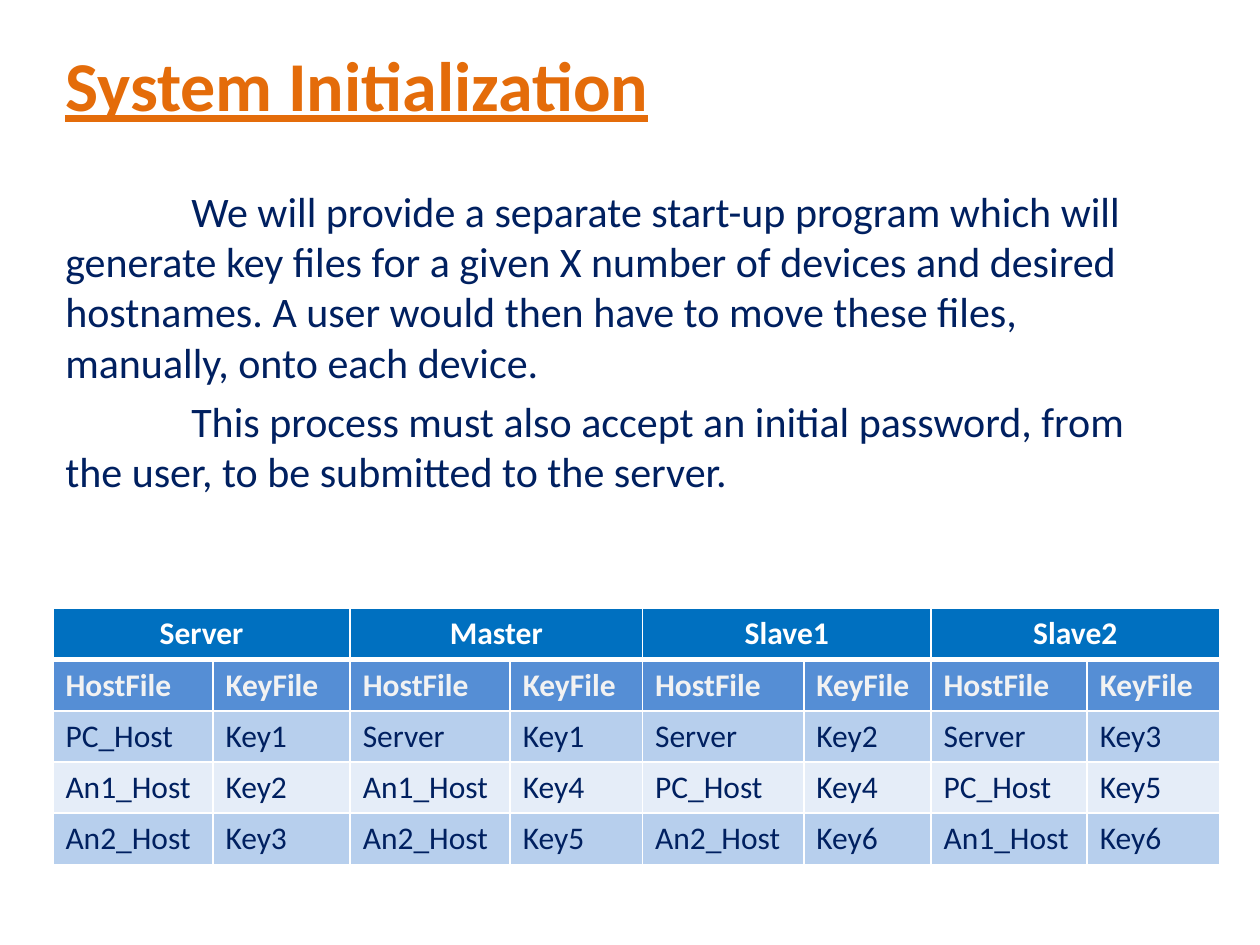
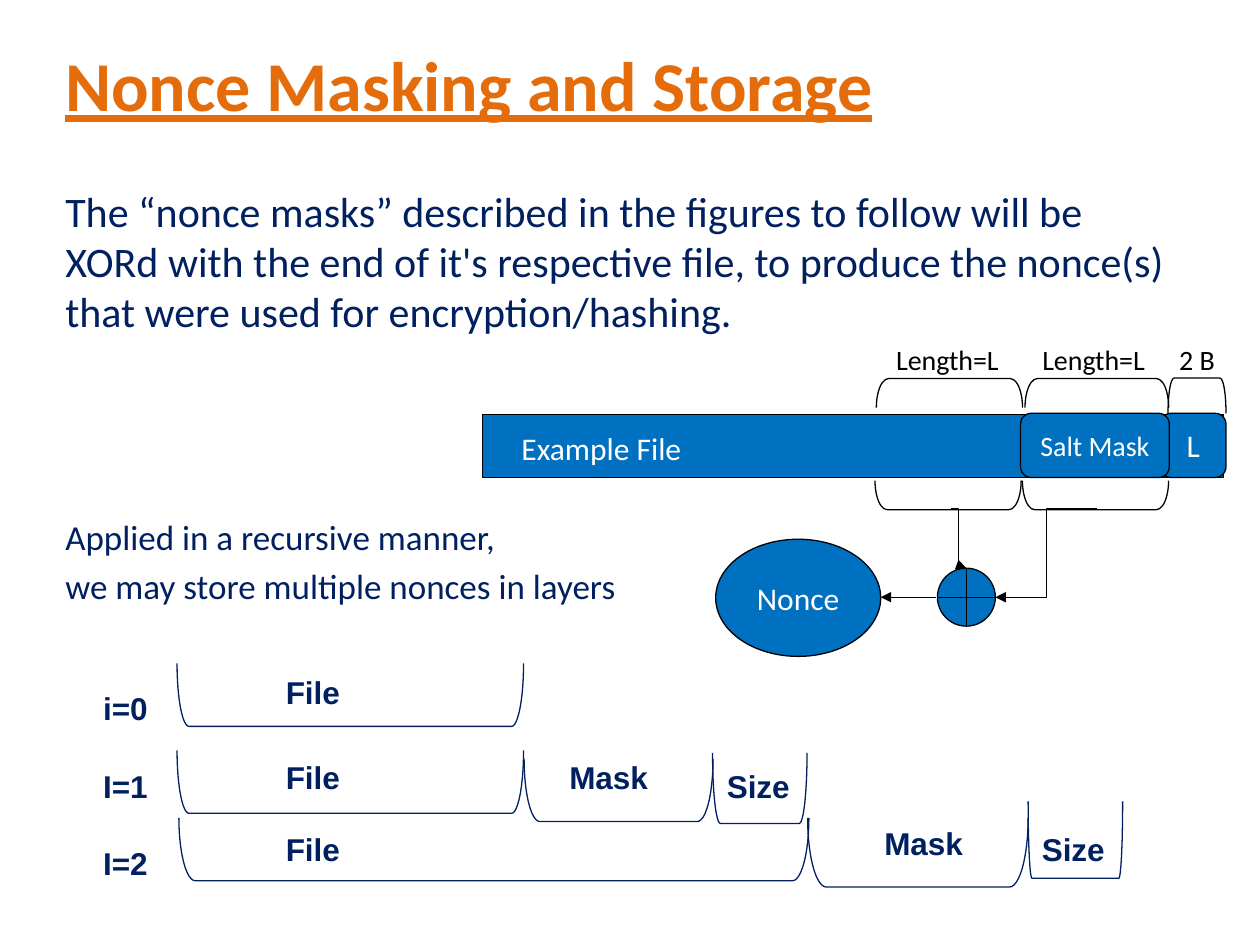
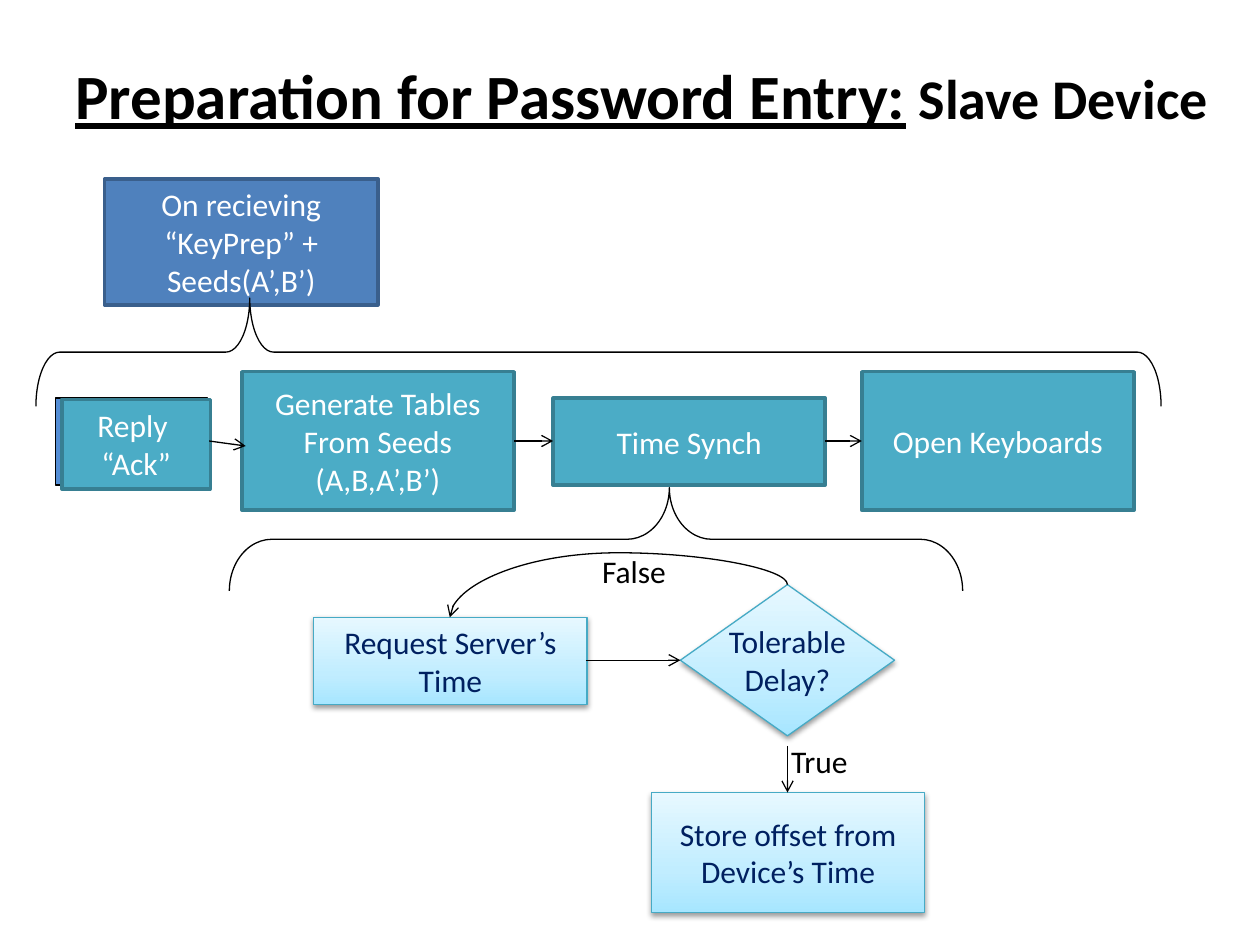
from dataclasses import dataclass
from typing import NamedTuple

from lxml import etree
from pptx import Presentation
from pptx import util as u
from pptx.dml.color import RGBColor
from pptx.enum import shapes, text
from pptx.oxml.ns import qn

# Slide grid: 100 columns by 75 rows
WIDTH, HEIGHT = u.Inches(10), u.Inches(7.5)
COLUMN, ROW = WIDTH / 100, HEIGHT / 75

# Palette
ORANGE, NAVY, BLUE, SKY = "E46C0A", "002060", "0070C0", "558ED5"
WHITE, BLACK, PALE, ICE = "FFFFFF", "000000", "F2F2F2", "C6D9F1"
STEEL, STEEL_EDGE = "4F81BD", "3A5F8C"
TEAL, TEAL_EDGE, GLOSS_EDGE = "4BACC6", "377F92", "46AAC5"
GLOSS = {0: "A7E6FF", 35: "C1EDFF", 100: "E7F8FF"}

SHAPE = shapes.MSO_SHAPE
LINK = shapes.MSO_CONNECTOR
LEFT, CENTER = text.PP_ALIGN.LEFT, text.PP_ALIGN.CENTER
TOP, MIDDLE = text.MSO_ANCHOR.TOP, text.MSO_ANCHOR.MIDDLE


class Box(NamedTuple):
    left: float
    top: float
    width: float
    height: float


class Point(NamedTuple):
    column: float
    row: float


@dataclass(frozen=True)
class TextStyle:
    size: float
    color: str
    bold: bool = False
    underline: bool = False
    name: str = "Calibri"


@dataclass(frozen=True)
class Look:
    fill: str | dict | None
    edge: str
    weight: float = 0.75


@dataclass(frozen=True)
class Node:
    box: Box
    look: Look
    lines: tuple = ()
    style: TextStyle | None = None
    outline: SHAPE = SHAPE.RECTANGLE
    wrap: bool = True


@dataclass(frozen=True)
class Bracket:
    """A left bracket or brace turned to lie flat, given by the area it covers."""
    box: Box
    bends: tuple
    turn: int = 270
    color: str = BLACK
    outline: SHAPE = SHAPE.LEFT_BRACKET


@dataclass(frozen=True)
class Segment:
    name: str
    label: Point
    box: Box
    bend: float


HEADING = TextStyle(40, ORANGE, True, True)
BODY, NOTE = TextStyle(24, NAVY), TextStyle(20, NAVY)
ON_DARK, ON_LIGHT = TextStyle(18, WHITE), TextStyle(18, NAVY)
PLAIN, MEASURE = TextStyle(18, BLACK), TextStyle(16, BLACK)
LAYER = TextStyle(18, NAVY, True, name="Arial")
FILE_LOOK = Look(BLUE, BLACK)
TEAL_LOOK = Look(TEAL, TEAL_EDGE, 2)
GLOSS_LOOK = Look(GLOSS, GLOSS_EDGE)


# Shared helpers
def rgb(color: str) -> RGBColor:
    return RGBColor.from_string(color)


def place(box: Box) -> tuple:
    return tuple(round(n * unit) for n, unit in zip(box, (COLUMN, ROW) * 2))


def set_font(font, style: TextStyle) -> None:
    formats = {"name": style.name, "size": u.Pt(style.size),
               "bold": style.bold, "underline": style.underline}
    for key, value in formats.items():
        setattr(font, key, value)
    font.color.rgb = rgb(style.color)


def write(frame, lines, style: TextStyle, align=LEFT, gap=0.0, indent=0.0) -> None:
    for number, line in enumerate(lines):
        paragraph = frame.add_paragraph() if number else frame.paragraphs[0]
        paragraph.alignment = align
        if number and gap:
            paragraph.space_before = u.Pt(gap)
        if indent:
            paragraph._p.get_or_add_pPr().set("indent", str(round(indent * COLUMN)))
        run = paragraph.add_run()
        run.text = line
        set_font(run.font, style)


def add_text(slide, box: Box, lines, style: TextStyle, anchor=TOP, **layout):
    frame = slide.shapes.add_textbox(*place(box)).text_frame
    frame.word_wrap = True
    frame.vertical_anchor = anchor
    write(frame, lines, style, **layout)
    return frame


def heading(slide, words: str) -> None:
    add_text(slide, Box(4.2, 0, 90, 13.3), [words], HEADING, MIDDLE)


def paint(shape, look: Look) -> None:
    shape.shadow.inherit = False
    shape.line.color.rgb = rgb(look.edge)
    shape.line.width = u.Pt(look.weight)
    if look.fill is None:
        shape.fill.background()
    elif isinstance(look.fill, str):
        shape.fill.solid()
        shape.fill.fore_color.rgb = rgb(look.fill)
    else:
        add_gloss(shape, look.fill)


def add_gloss(shape, stops: dict) -> None:
    shape.fill.gradient()
    shape.fill.gradient_angle = 90
    properties = shape.element.spPr
    ramp = properties.find(".//" + qn("a:gsLst"))
    for old in list(ramp):
        ramp.remove(old)
    for position, color in stops.items():
        stop = etree.SubElement(ramp, qn("a:gs"), pos=str(position * 1000))
        etree.SubElement(stop, qn("a:srgbClr"), val=color)
    shadow = etree.SubElement(properties.find(qn("a:effectLst")), qn("a:outerShdw"),
                              blurRad="40000", dist="20000", dir="5400000", rotWithShape="0")
    shade = etree.SubElement(shadow, qn("a:srgbClr"), val=BLACK)
    etree.SubElement(shade, qn("a:alpha"), val="38000")


def add_node(slide, node: Node) -> None:
    shape = slide.shapes.add_shape(node.outline, *place(node.box))
    paint(shape, node.look)
    if node.lines:
        shape.text_frame.word_wrap = node.wrap
        shape.text_frame.vertical_anchor = MIDDLE
        write(shape.text_frame, node.lines, node.style, CENTER)


def add_bracket(slide, bracket: Bracket) -> None:
    left, top, width, height = bracket.box
    shift = (width - height) / 2
    upright = Box(left + shift, top - shift, height, width)
    shape = slide.shapes.add_shape(bracket.outline, *place(upright))
    shape.rotation = bracket.turn
    for number, bend in enumerate(bracket.bends):
        shape.adjustments[number] = bend
    paint(shape, Look(None, bracket.color))


def add_arrow(slide, start: Point, end: Point, head="arrow", kind=LINK.STRAIGHT):
    arrow = slide.shapes.add_connector(kind, *place(Box(*start, *end)))
    arrow.line.color.rgb = rgb(BLACK)
    arrow.line.width = u.Pt(0.75)
    properties = arrow.element.spPr
    etree.SubElement(properties.find(qn("a:ln")), qn("a:tailEnd"), type=head)
    etree.SubElement(properties, qn("a:effectLst"))
    return arrow


# Slide 1: key files for each device
DEVICES = {
    "Server": [("PC_Host", "Key1"), ("An1_Host", "Key2"), ("An2_Host", "Key3")],
    "Master": [("Server", "Key1"), ("An1_Host", "Key4"), ("An2_Host", "Key5")],
    "Slave1": [("Server", "Key2"), ("PC_Host", "Key4"), ("An2_Host", "Key6")],
    "Slave2": [("Server", "Key3"), ("PC_Host", "Key5"), ("An1_Host", "Key6")],
}
KEY_COLUMNS = (12.7, 10.9, 12.7, 10.5, 12.8, 10.1, 12.4, 10.5)
KEY_ROW = 4.06
# Fill colour, fill opacity in percent and text style of each row
ROW_LOOKS = [
    (BLUE, 100, TextStyle(18, WHITE, True)),
    (SKY, 100, TextStyle(18, PALE, True)),
    (SKY, 42, ON_LIGHT),
    (ICE, 45, ON_LIGHT),
    (SKY, 42, ON_LIGHT),
]


def format_cell(cell, fill: str, opacity: int, bottom: float) -> None:
    properties = cell._tc.get_or_add_tcPr()
    for side, weight in {"L": 1, "R": 1, "T": 1, "B": bottom}.items():
        border = etree.SubElement(properties, qn("a:ln" + side), w=str(u.Pt(weight)))
        color = etree.SubElement(border, qn("a:solidFill"))
        etree.SubElement(color, qn("a:srgbClr"), val=WHITE)
    cell.fill.solid()
    cell.fill.fore_color.rgb = rgb(fill)
    if opacity < 100:
        tint = properties.find(qn("a:solidFill"))[0]
        etree.SubElement(tint, qn("a:alpha"), val=str(opacity * 1000))


def add_key_table(slide) -> None:
    rows = [[cell for device in DEVICES for cell in (device, "")],
            ["HostFile", "KeyFile"] * len(DEVICES)]
    rows += [[cell for pair in level for cell in pair] for level in zip(*DEVICES.values())]
    area = Box(4.2, 48.3, sum(KEY_COLUMNS), KEY_ROW * len(rows))
    table = slide.shapes.add_table(len(rows), len(KEY_COLUMNS), *place(area)).table
    table.horz_banding = False
    for column, width in zip(table.columns, KEY_COLUMNS):
        column.width = round(width * COLUMN)
    for row, (words, (fill, opacity, style)) in enumerate(zip(rows, ROW_LOOKS)):
        table.rows[row].height = round(KEY_ROW * ROW)
        for column, word in enumerate(words):
            cell = table.cell(row, column)
            format_cell(cell, fill, opacity, 1 if row else 3)
            if word:
                write(cell.text_frame, [word], style, LEFT if row else CENTER)
    for column in range(0, len(KEY_COLUMNS), 2):
        table.cell(0, column).merge(table.cell(0, column + 1))


def build_initialization(slide) -> None:
    heading(slide, "System Initialization")
    add_text(slide, Box(4.2, 14.2, 90, 30), [
        "We will provide a separate start-up program which will generate key files for a "
        "given X number of devices and desired hostnames. A user would then have to move "
        "these files, manually, onto each device.",
        "This process must also accept an initial password, from the user, to be "
        "submitted to the server.",
    ], BODY, gap=4.8, indent=10)
    add_key_table(slide)


# Slide 2: nonce layers and the example file
SEGMENTS = [
    Segment("File", Point(21.7, 52.9), Box(14.05, 52.65, 27.5, 5), 0.19),
    Segment("File", Point(21.7, 59.7), Box(14.05, 59.55, 27.5, 5), 0.19),
    Segment("Mask", Point(44.2, 59.7), Box(41.6, 60.2, 15, 5), 0.25),
    Segment("Size", Point(56.7, 60.4), Box(56.55, 59.75, 7.5, 5.6), 0.11),
    Segment("File", Point(21.7, 65.4), Box(14.2, 64.9, 50, 5), 0.26),
    Segment("Mask", Point(69.2, 64.9), Box(64.1, 64.9, 17.5, 5.5), 0.27),
    Segment("Size", Point(81.7, 65.4), Box(81.6, 63.6, 7.5, 6.1), 0.05),
]
FILE_PARTS = [
    Node(Box(38.3, 32.9, 58.8, 5), FILE_LOOK),
    Node(Box(92.1, 32.8, 5.2, 5.1), FILE_LOOK, ("L",), ON_DARK, SHAPE.ROUNDED_RECTANGLE),
    Node(Box(81, 32.8, 11.8, 5.1), FILE_LOOK, ("Salt Mask",),
         TextStyle(16, WHITE), SHAPE.ROUNDED_RECTANGLE),
    Node(Box(74.4, 45.1, 4.6, 4.6), FILE_LOOK, outline=SHAPE.FLOWCHART_OR),
    Node(Box(56.8, 42.8, 13.1, 9.3), FILE_LOOK, ("Nonce",), ON_DARK, SHAPE.OVAL),
]
FILE_BRACKETS = [
    Bracket(Box(81.15, 38.15, 11.6, 2.3), (0.42,)),
    Bracket(Box(69.45, 38.15, 11.6, 2.3), (0.42,)),
    Bracket(Box(69.55, 30.05, 11.6, 2.3), (0.42,), 90),
    Bracket(Box(81.35, 30.05, 11.4, 2.3), (0.42,), 90),
    Bracket(Box(92.7, 30, 4.6, 2.8), (0.17,), 90),
]


def build_nonce(slide) -> None:
    heading(slide, "Nonce Masking and Storage")
    add_text(slide, Box(4.2, 14.2, 90, 14), [
        "The “nonce masks” described in the figures to follow will be XORd with the end of "
        "it's respective file, to produce the nonce(s) that were used for encryption/hashing.",
    ], BODY)
    add_text(slide, Box(4.2, 40.4, 50, 8.4), [
        "Applied in a recursive manner,", "we may store multiple nonces in layers",
    ], NOTE, gap=4)

    # Layers
    add_text(slide, Box(7.2, 54.2, 10, 18), ["i=0", "I=1", "I=2"], LAYER, gap=22.7)
    for segment in SEGMENTS:
        add_text(slide, Box(*segment.label, 15, 3.8), [segment.name], LAYER)
        add_bracket(slide, Bracket(segment.box, (segment.bend,), color=NAVY))

    # Example file
    for part in FILE_PARTS:
        add_node(slide, part)
    for bracket in FILE_BRACKETS:
        add_bracket(slide, bracket)
    for left in (69.4, 81):
        add_text(slide, Box(left, 26.7, 11.6, 3.2), ["Length=L"], MEASURE, align=CENTER)
    add_text(slide, Box(92.6, 26.7, 7, 3.2), ["2 B"], MEASURE)
    add_text(slide, Box(40.4, 33.6, 17.5, 4), ["Example File"], ON_DARK)
    add_arrow(slide, Point(75.5, 40.4), Point(76.7, 45.1), "triangle", LINK.ELBOW)
    add_arrow(slide, Point(87.1, 40.4), Point(79, 47.4), "triangle", LINK.ELBOW)
    add_arrow(slide, Point(74.3, 47.4), Point(69.9, 47.4), "triangle")


# Slide 3: flow on the slave device
STEPS = [
    Node(Box(8.3, 14.2, 21.7, 10), Look(STEEL, STEEL_EDGE, 2),
         ("On recieving", "“KeyPrep” +", "Seeds(A’,B’)"), ON_DARK),
    Node(Box(43.9, 31.6, 21.6, 6.9), TEAL_LOOK, ("Time Synch",), ON_DARK),
    Node(Box(24.9, 49, 21.7, 6.9), GLOSS_LOOK, ("Request Server’s Time",), ON_LIGHT),
    Node(Box(51.7, 62.9, 21.7, 9.5), GLOSS_LOOK, ("Store offset from Device’s Time",), ON_LIGHT),
    Node(Box(19.2, 29.5, 21.6, 11), TEAL_LOOK,
         ("Generate Tables", "From Seeds", "(A,B,A’,B’)"), ON_DARK),
    Node(Box(68.4, 29.5, 21.6, 11), TEAL_LOOK, ("Open Keyboards",), ON_DARK),
    Node(Box(54, 46.4, 17, 12), GLOSS_LOOK, ("Tolerable", "Delay?"), ON_LIGHT,
         SHAPE.FLOWCHART_DECISION, wrap=False),
    Node(Box(4.4, 31.6, 12.1, 6.9), Look(SKY, BLACK)),
    Node(Box(4.9, 31.7, 11.8, 7.1), TEAL_LOOK, ("Reply ", "“Ack”"), ON_DARK),
]
BRACES = [
    Bracket(Box(2.85, 23.65, 89.3, 8.6), (0.22, 0.81), 90, outline=SHAPE.LEFT_BRACE),
    Bracket(Box(18.2, 38.7, 58.2, 8.2), (0.41, 0.4), 90, outline=SHAPE.LEFT_BRACE),
]
FLOW = [
    (Point(46.5, 52.4), Point(54, 52.4)),
    (Point(62.5, 59.2), Point(62.5, 62.9)),
    (Point(16.6, 35), Point(19.5, 35.4)),
    (Point(40.8, 35), Point(43.9, 35)),
    (Point(65.5, 35), Point(68.4, 35)),
]


def add_retry_arrow(slide) -> None:
    """Curve from the top of the decision back to the request."""
    arrow = add_arrow(slide, Point(50.4, 61.1), Point(47.8, 34.3), kind=LINK.CURVE)
    properties = arrow.element.spPr
    properties.find(qn("a:xfrm")).set("rot", str(270 * 60000))
    geometry = properties.find(qn("a:prstGeom"))
    bends = geometry.find(qn("a:avLst"))
    if bends is None:
        bends = etree.SubElement(geometry, qn("a:avLst"))
    etree.SubElement(bends, qn("a:gd"), name="adj1", fmla="val -97400")


def build_preparation(slide) -> None:
    title = add_text(slide, Box(5, 3.9, 95, 8), ["Preparation for Password Entry:"],
                     TextStyle(36, BLACK, True, True)).paragraphs[0]
    title.line_spacing = 1.02
    device = title.add_run()
    device.text = " Slave Device"
    set_font(device.font, TextStyle(32, BLACK, True))

    for step in STEPS:
        add_node(slide, step)
    for brace in BRACES:
        add_bracket(slide, brace)
    for start, end in FLOW:
        add_arrow(slide, start, end)
    add_retry_arrow(slide)
    for answer, left, top in (("False", 46.8, 43.3), ("True", 61.8, 58.4)):
        add_text(slide, Box(left, top, 9.3, 3.8), [answer], PLAIN)


def main() -> None:
    deck = Presentation()
    deck.slide_width, deck.slide_height = WIDTH, HEIGHT
    blank = deck.slide_layouts[6]
    for build in (build_initialization, build_nonce, build_preparation):
        build(deck.slides.add_slide(blank))
    deck.save("out.pptx")


if __name__ == "__main__":
    main()
